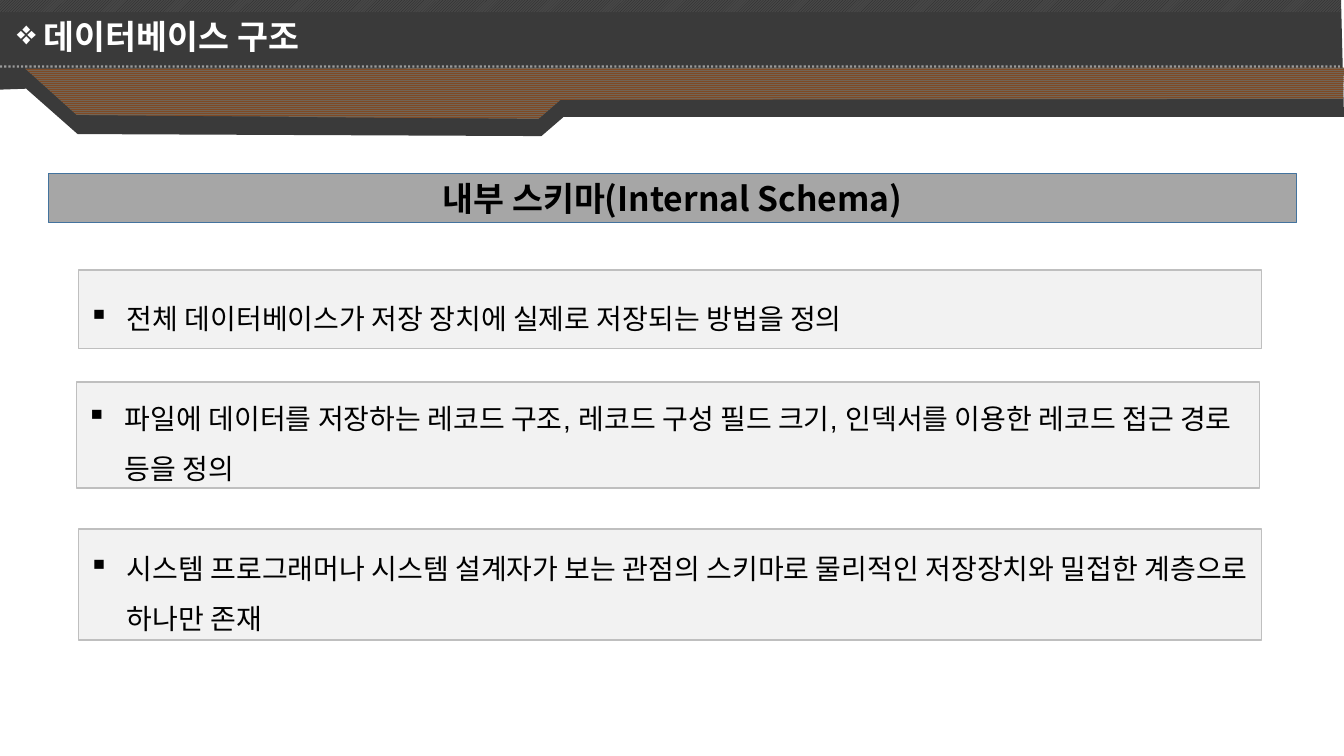
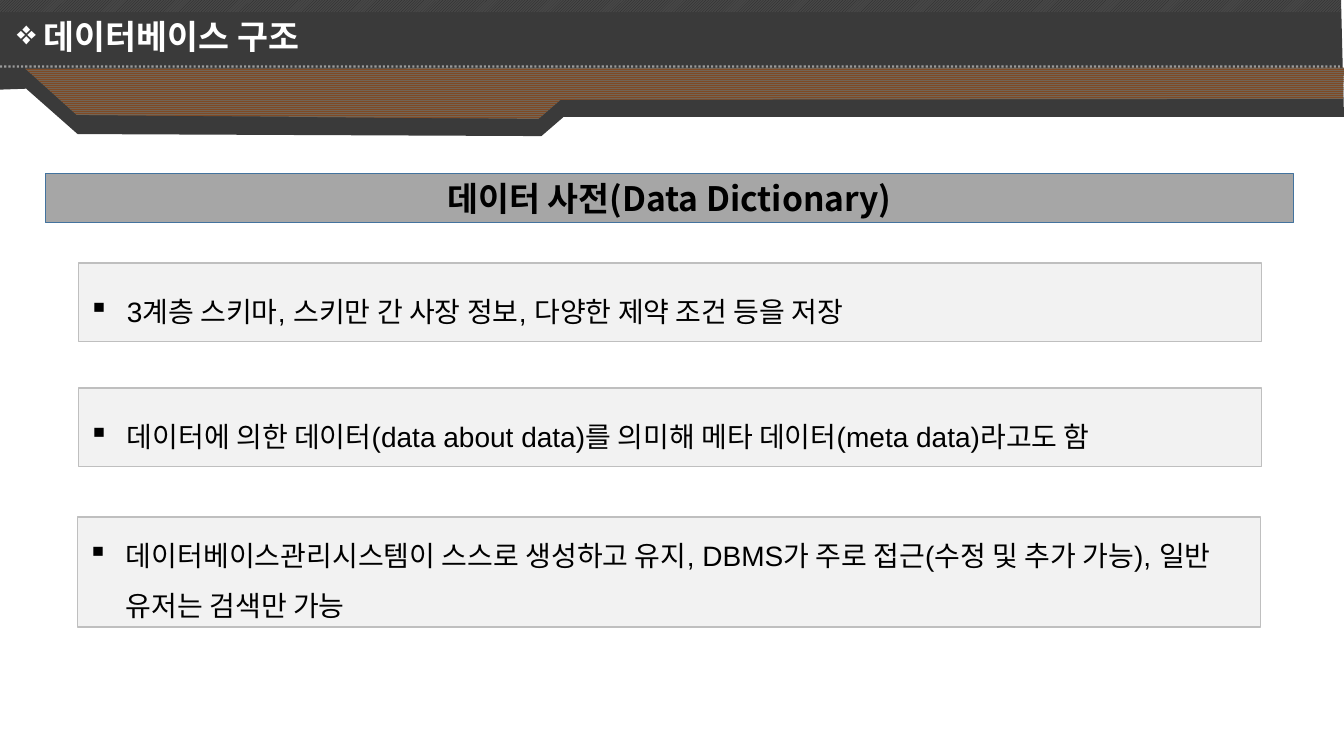
"""Build two slides on database structure: internal schema and data dictionary."""
from dataclasses import dataclass

from lxml.etree import SubElement
from pptx import Presentation
from pptx.dml.color import RGBColor as Color
from pptx.enum.dml import MSO_LINE as Dash, MSO_PATTERN as Pattern
from pptx.enum.shapes import MSO_CONNECTOR as Connector, MSO_SHAPE as Shape
from pptx.enum.text import MSO_ANCHOR as Anchor, PP_ALIGN as Align
from pptx.oxml import parse_xml
from pptx.oxml.ns import nsdecls, qn
from pptx.util import Inches, Pt


@dataclass(frozen=True)
class Theme:
    band: str = "3A3A3A"
    hatch: tuple = ("262626", "474747")
    stripes: tuple = ("7F4A25", "726455")
    white: str = "FFFFFF"
    black: str = "000000"
    heading_fill: str = "A6A6A6"
    heading_line: str = "43739E"
    card_fill: str = "F2F2F2"
    card_line: str = "BFBFBF"
    heading_font: str = "Noto Sans CJK KR"
    body_font: str = "Arial"
    heading_size: int = 24
    body_size: int = 20


THEME = Theme()
TITLE = " 데이터베이스 구조"
BAND = [(-0.02, -0.02), (13.3, -0.03), (13.33, 1.16), (5.59, 1.16), (5.37, 1.35),
        (0.77, 1.33), (0.26, 0.88), (-0.02, 0.89)]
RIBBON = [(0.25, 0.68), (0.76, 1.14), (5.34, 1.18), (5.56, 0.99), (13.32, 0.98),
          (13.33, 0.67)]
PAGES = [
    ("내부 스키마(Internal Schema)", 0.48, [
        (0.78, 2.68, 0.78, "전체 데이터베이스가 저장 장치에 실제로 저장되는 방법을 정의"),
        (0.76, 3.79, 1.05, "파일에 데이터를 저장하는 레코드 구조, 레코드 구성 필드 크기, "
                           "인덱서를 이용한 레코드 접근 경로 등을 정의"),
        (0.78, 5.25, 1.1, "시스템 프로그래머나 시스템 설계자가 보는 관점의 스키마로 "
                          "물리적인 저장장치와 밀접한 계층으로 하나만 존재"),
    ]),
    ("데이터 사전(Data Dictionary)", 0.45, [
        (0.78, 2.61, 0.78, "3계층 스키마, 스키만 간 사장 정보, 다양한 제약 조건 등을 저장"),
        (0.78, 3.85, 0.78, "데이터에 의한 데이터(data about data)를 의미해 "
                           "메타 데이터(meta data)라고도 함"),
        (0.77, 5.13, 1.09, "데이터베이스관리시스템이 스스로 생성하고 유지, DBMS가 주로 "
                           "접근(수정 및 추가 가능), 일반 유저는 검색만 가능"),
    ]),
]


def paint(shape, fill, line=None, pattern=None):
    shape.shadow.inherit = False
    if pattern is None:
        shape.fill.solid()
        shape.fill.fore_color.rgb = Color.from_string(fill)
    else:
        shape.fill.patterned()
        shape.fill.pattern = pattern
        shape.fill.fore_color.rgb, shape.fill.back_color.rgb = map(Color.from_string, fill)
    if line is None:
        shape.line.fill.background()
    else:
        shape.line.color.rgb = Color.from_string(line)
        shape.line.width = Pt(1)


def write_text(box, text, *, font, size, color=THEME.black, bold=False, align=Align.LEFT,
               anchor=Anchor.MIDDLE, bullet=None, indent=0, spacing=None, shadow=False):
    frame = box.text_frame
    frame.word_wrap = True
    frame.vertical_anchor = anchor
    para = frame.paragraphs[0]
    para.alignment = align
    if bullet:
        properties = para._p.get_or_add_pPr()
        properties.set("marL", str(Inches(indent)))
        properties.set("indent", str(-Inches(indent)))
        SubElement(properties, qn("a:buChar")).set("char", bullet)
    if spacing:
        para.line_spacing = spacing
    span = para.add_run()
    span.text = text
    span.font.size = Pt(size)
    span.font.bold = bold
    span.font.color.rgb = Color.from_string(color)
    if shadow:
        span._r.rPr.append(parse_xml(
            f'<a:effectLst {nsdecls("a")}><a:outerShdw blurRad="38100" dist="38100" '
            f'dir="2700000"><a:srgbClr val="{THEME.black}"/></a:outerShdw></a:effectLst>'))
    span.font.name = font
    SubElement(span._r.rPr, qn("a:ea")).set("typeface", THEME.heading_font)


deck = Presentation()
deck.slide_width = Inches(13.33)
deck.slide_height = Inches(7.5)

for heading, heading_left, cards in PAGES:
    page = deck.slides.add_slide(deck.slide_layouts[6])
    shapes = page.shapes

    outlines = []
    for points in (BAND, RIBBON):
        corners = [(Inches(x), Inches(y)) for x, y in points]
        builder = shapes.build_freeform(*corners[0], scale=1.0)
        builder.add_line_segments(corners[1:], close=True)
        outlines.append(builder.convert_to_shape())
    band, ribbon = outlines
    paint(band, THEME.band)
    paint(ribbon, THEME.stripes, pattern=Pattern.NARROW_HORIZONTAL)

    hatch = shapes.add_shape(Shape.RECTANGLE, Inches(-0.03), 0, Inches(13.33), Inches(0.12))
    paint(hatch, THEME.hatch, pattern=Pattern.LIGHT_UPWARD_DIAGONAL)

    rule = shapes.add_connector(Connector.STRAIGHT, 0, Inches(0.66), Inches(13.29), Inches(0.66))
    rule.line.color.rgb = Color.from_string(THEME.white)
    rule.line.width = Pt(1.5)
    rule.line.dash_style = Dash.ROUND_DOT
    rule_color = rule.line._ln.find(".//" + qn("a:srgbClr"))
    SubElement(rule_color, qn("a:alpha")).set("val", "50000")
    SubElement(rule._element.spPr, qn("a:effectLst"))

    title = shapes.add_textbox(Inches(0.07), Inches(0.11), Inches(6.59), Inches(0.5))
    write_text(title, TITLE, font=THEME.heading_font, size=THEME.heading_size,
               color=THEME.white, bold=True, anchor=Anchor.TOP, bullet="❖", shadow=True)

    bar = shapes.add_shape(Shape.RECTANGLE, Inches(heading_left), Inches(1.72),
                           Inches(12.38), Inches(0.49))
    paint(bar, THEME.heading_fill, THEME.heading_line)
    write_text(bar, heading, font=THEME.heading_font, size=THEME.heading_size,
               bold=True, align=Align.CENTER)

    for left, top, height, text in cards:
        card = shapes.add_shape(Shape.RECTANGLE, Inches(left), Inches(top),
                                Inches(11.73), Inches(height))
        paint(card, THEME.card_fill, THEME.card_line)
        write_text(card, text, font=THEME.body_font, size=THEME.body_size,
                   bullet="▪", indent=0.38, spacing=1.5)

deck.save("out.pptx")
